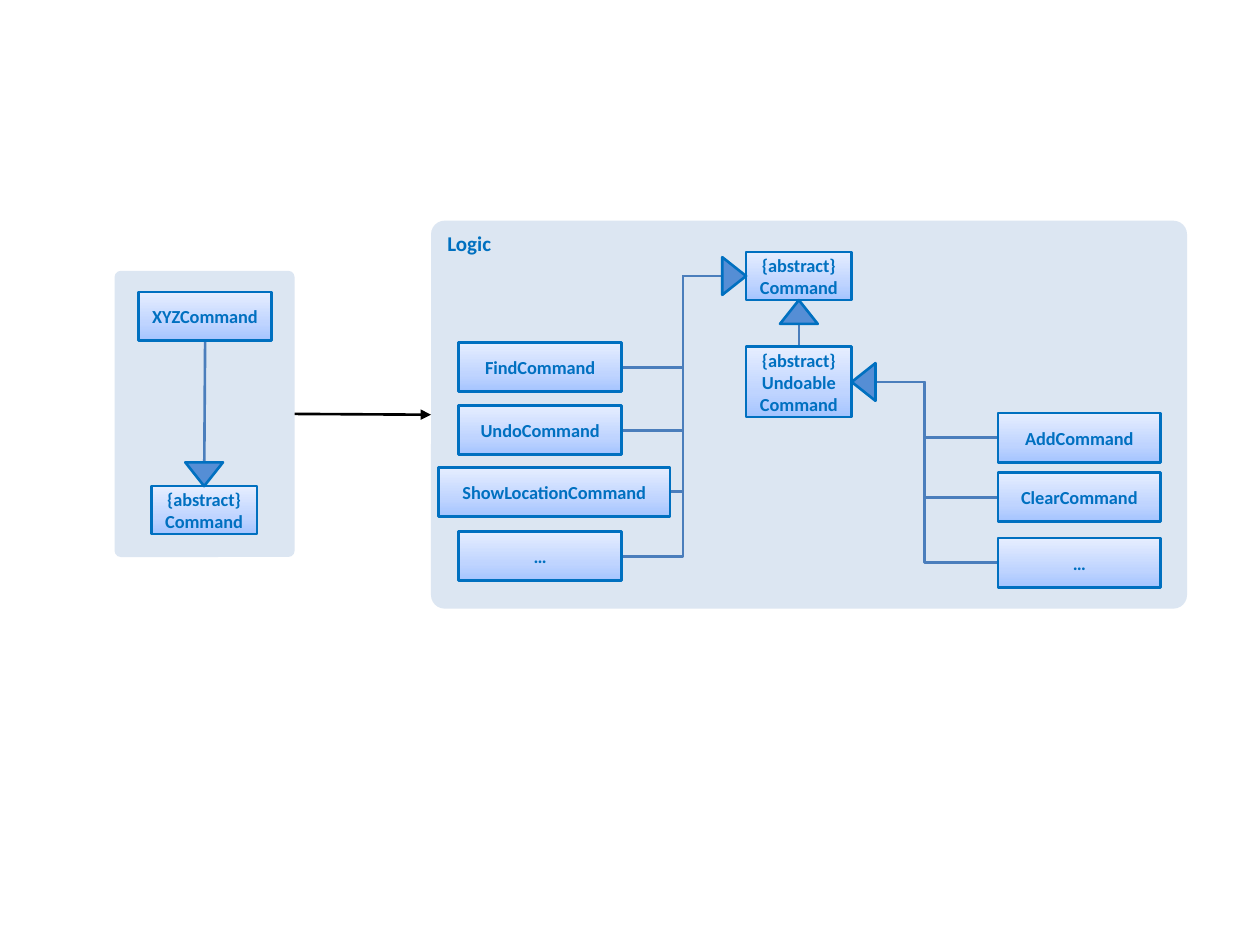
from dataclasses import dataclass
from lxml.etree import SubElement
from pptx import Presentation
from pptx.dml.color import RGBColor
from pptx.enum.shapes import MSO_CONNECTOR, MSO_SHAPE
from pptx.enum.text import MSO_ANCHOR, PP_ALIGN
from pptx.oxml.ns import qn
from pptx.util import Cm, Pt


@dataclass(frozen=True)
class Theme:
    font: str = "Calibri"
    panel: str = "DCE6F2"
    edge: str = "0070C0"
    wire: str = "4B7EBC"
    tip: str = "558ED5"
    arrow: str = "000000"
    fade: tuple = ((0, "A4C4FF"), (35, "BFD4FF"), (100, "E6EEFF"))
    title: float = 12
    label: float = 10.5
    line: float = 1.5


theme = Theme()

# Content: lengths in cm as left, top, width, height
panels = [("", 2.31, 5.46, 3.63, 5.77), ("Logic", 8.69, 4.45, 15.24, 7.82)]
root = ("{abstract}\vCommand", 15.04, 5.08, 2.13, 0.97)
undo = ("{abstract}\vUndoable\nCommand", 15.04, 6.99, 2.13, 1.42)
sample = ("XYZCommand", 2.79, 5.89, 2.69, 0.97)
base = ("{abstract}\vCommand", 3.05, 9.8, 2.13, 0.97)
row_w, row_h = 3.28, 0.99
plain = [
    ("FindCommand", 9.25, 6.91, row_w, row_h),
    ("UndoCommand", 9.25, 8.18, row_w, row_h),
    ("ShowLocationCommand", 8.84, 9.42, 4.67, row_h),
    ("…", 9.25, 10.72, row_w, row_h),
]
undoable = [
    (name, 20.12, top, row_w, row_h)
    for name, top in (("AddCommand", 8.33), ("ClearCommand", 9.53), ("…", 10.85))
]
plain_bus, undo_bus = 13.77, 18.64
tip_w, tip_h = 0.76, 0.48

deck = Presentation()
deck.slide_width, deck.slide_height = Cm(25.4), Cm(19.05)
shapes = deck.slides.add_slide(deck.slide_layouts[6]).shapes


def rgb(code):
    return RGBColor.from_string(code)


def ports(box):
    """Middle points of the four sides."""
    _, x, y, w, h = box
    return {"left": (x, y + h / 2), "right": (x + w, y + h / 2),
            "top": (x + w / 2, y), "bottom": (x + w / 2, y + h)}


def add(kind, x, y, w, h):
    shape = shapes.add_shape(kind, Cm(x), Cm(y), Cm(w), Cm(h))
    shape.shadow.inherit = False
    return shape


def outline(shape):
    shape.line.color.rgb = rgb(theme.edge)
    shape.line.width = Pt(theme.line)


def write(shape, text, size, align, anchor):
    frame = shape.text_frame
    frame.text, frame.word_wrap, frame.vertical_anchor = text, True, anchor
    for para in frame.paragraphs:
        para.alignment = align
        para.font.name, para.font.size, para.font.bold = theme.font, Pt(size), True
        para.font.color.rgb = rgb(theme.edge)


def panel(text, *place):
    shape = add(MSO_SHAPE.ROUNDED_RECTANGLE, *place)
    shape.adjustments[0] = 0.035
    shape.fill.solid()
    shape.fill.fore_color.rgb = rgb(theme.panel)
    shape.line.fill.background()
    if text:
        write(shape, text, theme.title, PP_ALIGN.LEFT, MSO_ANCHOR.TOP)


def card(text, *place):
    shape = add(MSO_SHAPE.RECTANGLE, *place)
    shape.fill.gradient()
    shape.fill.gradient_angle = 90
    stops = shape._element.spPr.find(qn("a:gradFill")).find(qn("a:gsLst"))
    for old in list(stops):
        stops.remove(old)
    for pos, code in theme.fade:
        stop = SubElement(stops, qn("a:gs"), pos=str(pos * 1000))
        SubElement(stop, qn("a:srgbClr"), val=code)
    outline(shape)
    write(shape, text, theme.label, PP_ALIGN.CENTER, MSO_ANCHOR.MIDDLE)
    shape.text_frame.margin_left = shape.text_frame.margin_right = 0


def link(start, end, color=theme.wire, bus=None):
    kind = MSO_CONNECTOR.STRAIGHT if bus is None else MSO_CONNECTOR.ELBOW
    line = shapes.add_connector(kind, *(Cm(v) for v in (*start, *end)))
    line.line.color.rgb = rgb(color)
    line.line.width = Pt(theme.line)
    props = line._element.spPr
    SubElement(props, qn("a:effectLst"))
    if bus is not None:
        bend = (bus - start[0]) / (end[0] - start[0])
        guides = props.find(qn("a:prstGeom")).get_or_add_avLst()
        SubElement(guides, qn("a:gd"), name="adj1", fmla=f"val {round(bend * 100000)}")
    return line


def tip(point, turn):
    """Triangle whose apex touches point, turned clockwise from up."""
    dx, dy = {0: (0, 1), 90: (-1, 0), 180: (0, -1), 270: (1, 0)}[turn]
    x, y = point[0] + dx * tip_h / 2, point[1] + dy * tip_h / 2
    shape = add(MSO_SHAPE.ISOSCELES_TRIANGLE, x - tip_w / 2, y - tip_h / 2, tip_w, tip_h)
    shape.rotation = turn
    shape.fill.solid()
    shape.fill.fore_color.rgb = rgb(theme.tip)
    outline(shape)


# Panels
for item in panels:
    panel(*item)

# Inheritance lines
for box in plain:
    link(ports(box)["right"], ports(root)["left"], bus=plain_bus)
for box in undoable:
    link(ports(undo)["right"], ports(box)["left"], bus=undo_bus)
link(ports(undo)["top"], ports(root)["bottom"])
link(ports(sample)["bottom"], ports(base)["top"])

# Arrow between panels
arrow = link(ports(panels[0])["right"], ports(panels[1])["left"], theme.arrow)
SubElement(arrow.line._get_or_add_ln(), qn("a:tailEnd"), type="triangle")

# Classes
for box in (root, undo, sample, base, *plain, *undoable):
    card(*box)

# Triangles
for box, side, turn in ((root, "left", 90), (root, "bottom", 0),
                        (undo, "right", 270), (base, "top", 180)):
    tip(ports(box)[side], turn)

deck.save("out.pptx")
